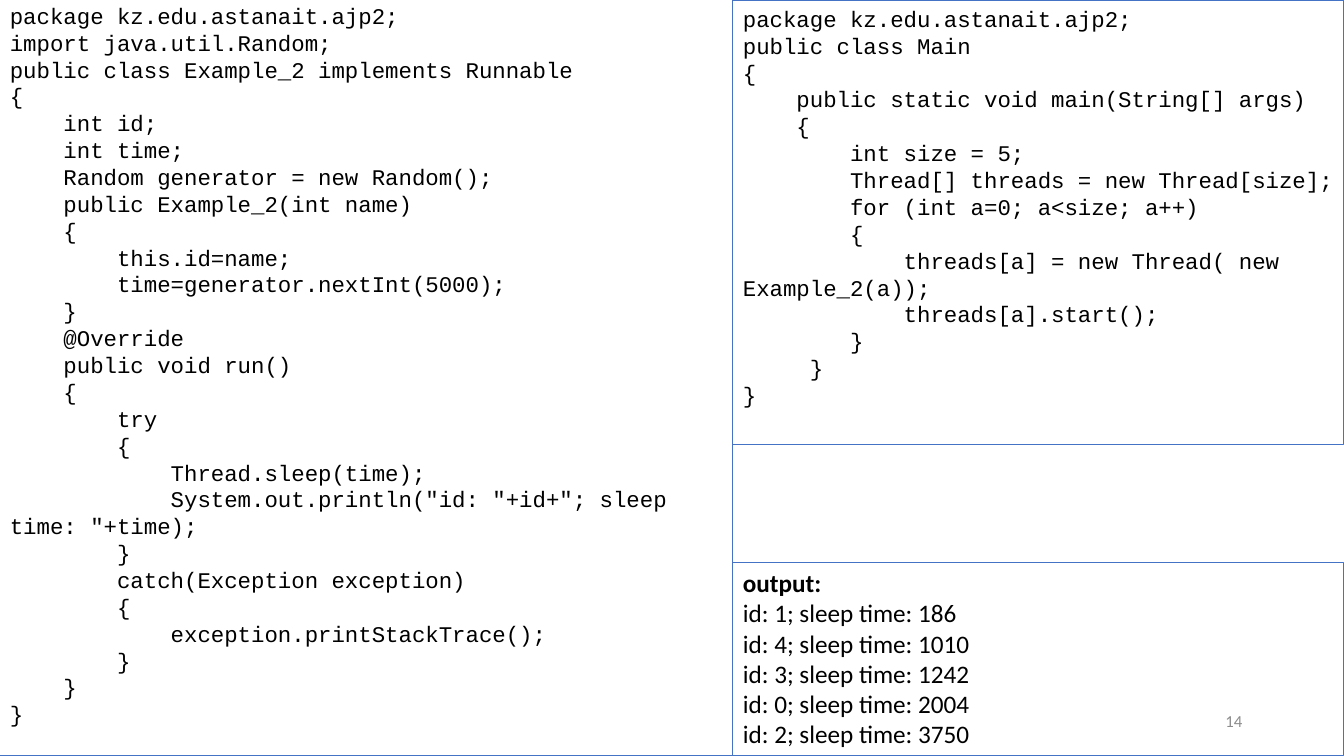
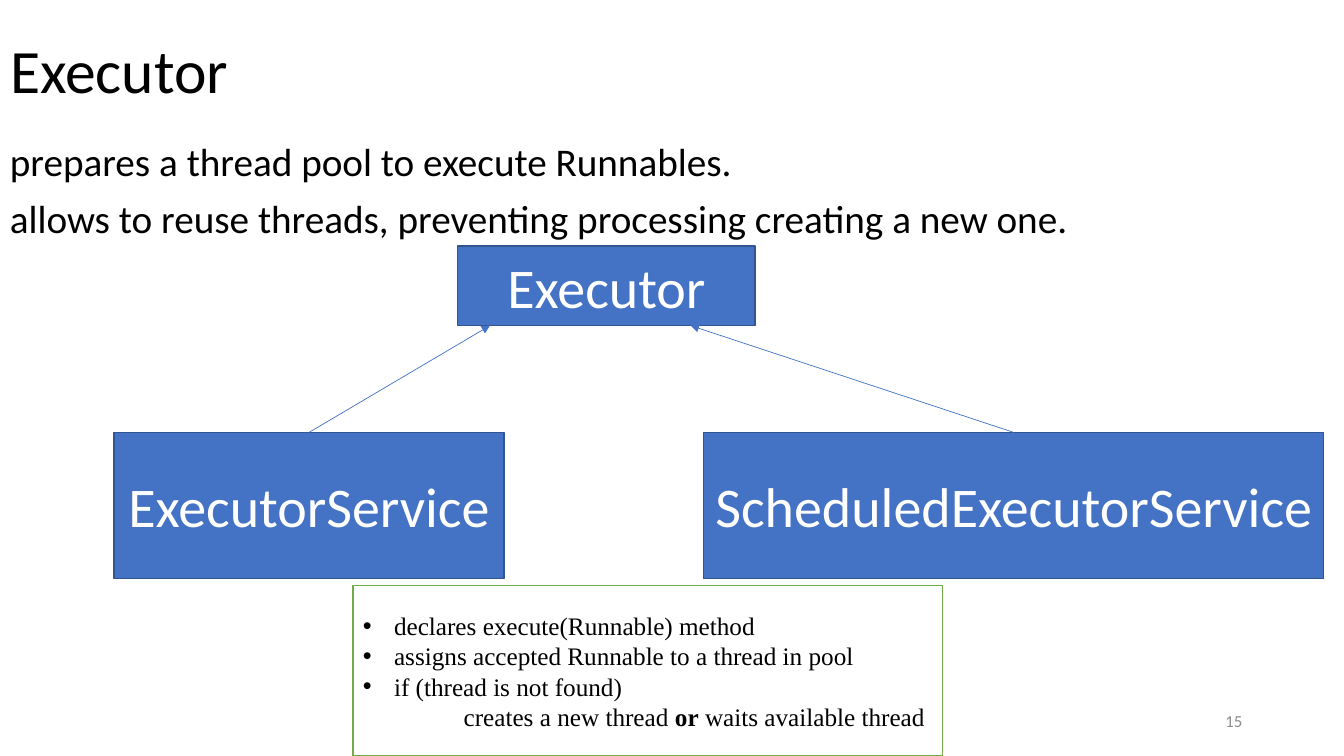
from dataclasses import dataclass

from lxml import etree
from pptx import Presentation
from pptx import util as u
from pptx.dml.color import RGBColor
from pptx.enum import shapes, text
from pptx.oxml.ns import qn


@dataclass(frozen=True)
class Theme:
    black: str = "000000"
    white: str = "FFFFFF"
    grey: str = "8C8C8C"
    blue: str = "4472C4"
    navy: str = "325491"
    green: str = "70AD47"
    sans: str = "Calibri"
    mono: str = "Courier New"
    serif: str = "Times New Roman"
    title: int = 44
    node: int = 40
    body: int = 28
    note: int = 18
    code: int = 16
    number: int = 12


T = Theme()
W, H = 13.33, 7.5
LEFT, CENTER, RIGHT, JUSTIFY = (
    text.PP_ALIGN.LEFT, text.PP_ALIGN.CENTER, text.PP_ALIGN.RIGHT, text.PP_ALIGN.JUSTIFY)
TOP, MIDDLE = text.MSO_ANCHOR.TOP, text.MSO_ANCHOR.MIDDLE

RUNNABLE_CODE = """\
package kz.edu.astanait.ajp2;
import java.util.Random;
public class Example_2 implements Runnable
{
    int id;
    int time;
    Random generator = new Random();
    public Example_2(int name)
    {
        this.id=name;
        time=generator.nextInt(5000);
    }
    @Override
    public void run()
    {
        try
        {
            Thread.sleep(time);
            System.out.println("id: "+id+"; sleep time: "+time);
        }
        catch(Exception exception)
        {
            exception.printStackTrace();
        }
    }
}"""

MAIN_CODE = """\
package kz.edu.astanait.ajp2;
public class Main
{
    public static void main(String[] args)
    {
        int size = 5;
        Thread[] threads = new Thread[size];
        for (int a=0; a<size; a++)
        {
            threads[a] = new Thread( new Example_2(a));
            threads[a].start();
        }
     }
}"""

OUTPUT = """\
output:
id: 1; sleep time: 186
id: 4; sleep time: 1010
id: 3; sleep time: 1242
id: 0; sleep time: 2004
id: 2; sleep time: 3750"""


# Shared parts
def inches(*values):
    return [u.Inches(v) for v in values]


def rgb(color):
    return RGBColor.from_string(color)


def write(sp, content, size, font=T.sans, color=T.black, align=LEFT, anchor=TOP):
    """Fill a shape with text, one paragraph a line, in one style."""
    tf = sp.text_frame
    tf.word_wrap = True
    tf.vertical_anchor = anchor
    tf.text = content
    for p in tf.paragraphs:
        p.alignment = align
        for r in p.runs:
            r.font.size, r.font.name = u.Pt(size), font
            r.font.color.rgb = rgb(color)
    return tf


def add_rect(s, box, line, width, fill=None):
    sp = s.shapes.add_shape(shapes.MSO_SHAPE.RECTANGLE, *inches(*box))
    sp.shadow.inherit = False
    if fill:
        sp.fill.solid()
        sp.fill.fore_color.rgb = rgb(fill)
    else:
        sp.fill.background()
    sp.line.color.rgb = rgb(line)
    sp.line.width = u.Pt(width)
    return sp


def add_panel(s, box, content, size, font):
    return write(add_rect(s, box, T.blue, 0.75), content, size, font)


def add_number(s, number):
    sp = s.shapes.add_textbox(*inches(9.42, 6.95, 3, 0.4))
    write(sp, str(number), T.number, color=T.grey, align=RIGHT, anchor=MIDDLE)


def add_title(s, box, content):
    sp = s.shapes.title
    sp.left, sp.top, sp.width, sp.height = inches(*box)
    write(sp, content, T.title, anchor=MIDDLE).paragraphs[0].line_spacing = 0.9


# Class diagram
def add_node(s, box, name):
    sp = add_rect(s, box, T.navy, 1, T.blue)
    write(sp, name, T.node, color=T.white, align=CENTER, anchor=MIDDLE)
    return sp


def add_arrow(s, child, x, y):
    """Arrow from the top middle of a child node to a point on its parent."""
    cx = s.shapes.add_connector(
        shapes.MSO_CONNECTOR.STRAIGHT, child.left, child.top, *inches(x, y))
    cx.begin_connect(child, 0)
    cx.line.color.rgb = rgb(T.blue)
    cx.line.width = u.Pt(0.5)
    etree.SubElement(cx.line._get_or_add_ln(), qn("a:tailEnd"), type="triangle")
    etree.SubElement(cx._element.spPr, qn("a:effectLst"))


def add_diagram(s, left, top):
    parent_x, parent_w, parent_h = left + 3.41, 2.95, 0.79
    child_y, child_h = top + 1.85, 1.45
    add_node(s, (parent_x, top, parent_w, parent_h), "Executor")
    service = add_node(s, (left, child_y, 3.87, child_h), "ExecutorService")
    scheduled = add_node(s, (left + 5.85, child_y, 6.15, child_h), "ScheduledExecutorService")
    add_arrow(s, service, parent_x + 0.32, top + parent_h)
    add_arrow(s, scheduled, parent_x + 2.31, top + parent_h)


# Bulleted note
def set_indent(p, margin, hanging=0, bullet=None):
    pPr = p._p.get_or_add_pPr()
    pPr.set("marL", str(u.Inches(margin)))
    pPr.set("indent", str(u.Inches(-hanging)))
    if bullet:
        etree.SubElement(pPr, qn("a:buFont"), typeface="Arial")
        etree.SubElement(pPr, qn("a:buChar"), char=bullet)


def add_note(s, box, bullets, closing):
    """Bullets, then an indented line whose middle part is bold."""
    sp = add_rect(s, box, T.green, 1, T.white)
    tf = write(sp, "\n".join(bullets + [""]), T.note, T.serif, anchor=MIDDLE)
    *items, last = tf.paragraphs
    for p in items:
        set_indent(p, 0.31, 0.31, "•")
    set_indent(last, 1)
    for i, part in enumerate(closing):
        r = last.add_run()
        r.text = part
        r.font.size, r.font.name, r.font.bold = u.Pt(T.note), T.serif, i == 1
        r.font.color.rgb = rgb(T.black)


# Slides
def code_slide(prs, number):
    s = prs.slides.add_slide(prs.slide_layouts[6])
    split = 7.27
    right_w = W - split
    add_panel(s, (0, -0.03, split, H + 0.03), RUNNABLE_CODE, T.code, T.mono)
    add_number(s, number)
    tf = add_panel(s, (split, 5.58, right_w, 1.92), OUTPUT, T.note, T.sans)
    tf.paragraphs[0].runs[0].font.bold = True
    add_panel(s, (split, 0, right_w, 4.41), MAIN_CODE, T.code, T.mono)


def executor_slide(prs, number):
    s = prs.slides.add_slide(prs.slide_layouts[5])
    add_title(s, (0, 0, 11.5, 1.45), "Executor")
    body = s.shapes.add_textbox(*inches(0, 1.37, W, 1.07))
    tf = write(body, "prepares a thread pool to execute Runnables.\n"
               "allows to reuse threads, preventing processing creating a new one.",
               T.body, align=JUSTIFY)
    for p in tf.paragraphs:
        p.line_spacing = 0.9
    tf.paragraphs[1].space_before = u.Pt(10)
    add_number(s, number)
    add_diagram(s, 1.13, 2.44)
    add_note(s, (3.5, 5.81, 5.85, 1.69),
             ["declares execute(Runnable) method",
              "assigns accepted Runnable to a thread in pool",
              "if (thread is not found)"],
             ["creates a new thread ", "or", " waits available thread"])


def main():
    prs = Presentation()
    prs.slide_width, prs.slide_height = inches(W, H)
    for number, build in enumerate((code_slide, executor_slide), start=14):
        build(prs, number)
    prs.save("out.pptx")


if __name__ == "__main__":
    main()
